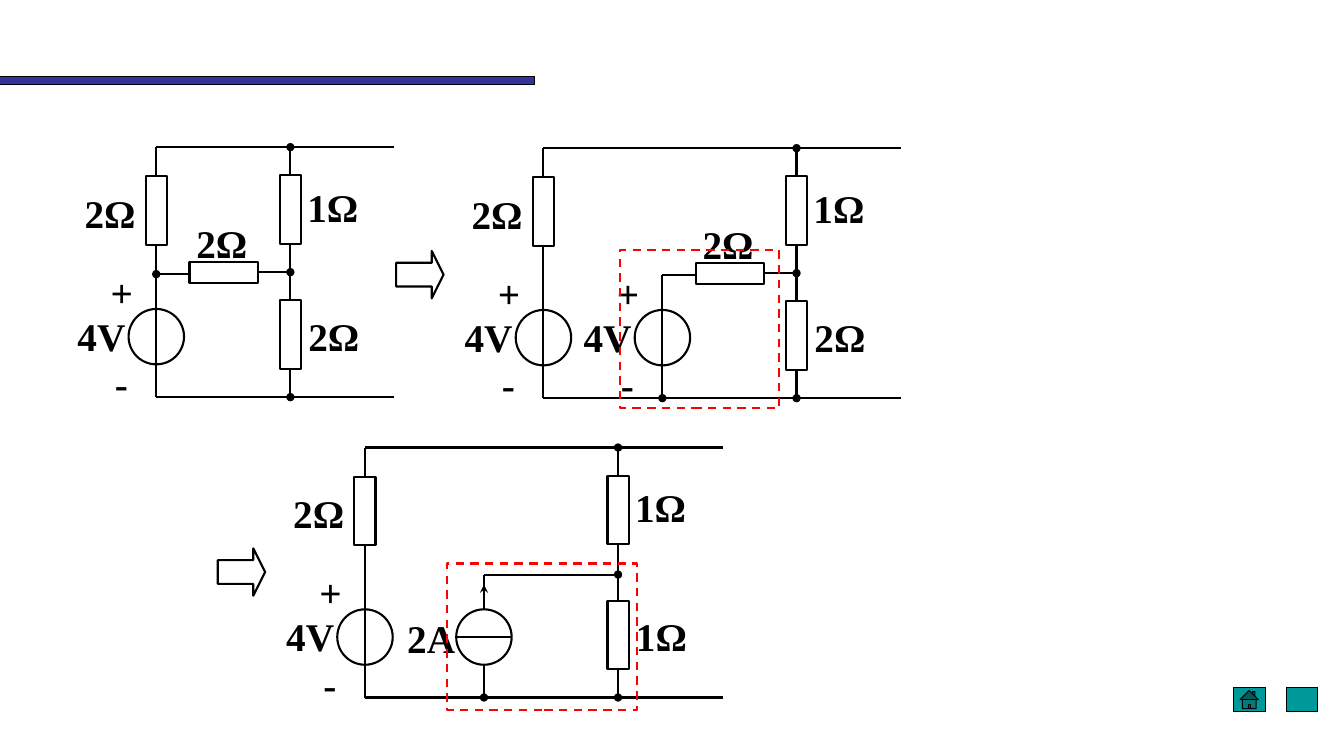
from lxml import etree
from pptx import Presentation
from pptx.dml.color import RGBColor
from pptx.enum.dml import MSO_LINE
from pptx.enum.shapes import MSO_CONNECTOR, MSO_SHAPE
from pptx.enum.text import MSO_AUTO_SIZE
from pptx.oxml.ns import qn
from pptx.util import Inches, Pt

RECT, OVAL = MSO_SHAPE.RECTANGLE, MSO_SHAPE.OVAL
ARROW = MSO_SHAPE.RIGHT_ARROW
HOME, BLANK = MSO_SHAPE.ACTION_BUTTON_HOME, MSO_SHAPE.ACTION_BUTTON_CUSTOM
STRAIGHT, DASH = MSO_CONNECTOR.STRAIGHT, MSO_LINE.DASH
GROW = MSO_AUTO_SIZE.SHAPE_TO_FIT_TEXT

COLORS = {"ink": "000000", "bar": "333399", "button": "009999", "focus": "FF0000"}
FONT = "Times New Roman"
TOP, BOTTOM = 0, 2  # connection sites of a rectangle

# Left, right and end columns, top rail, kind of middle branch, resistor names
CIRCUITS = [
    {"left": 1.55, "right": 2.88, "end": 3.91, "top": 1.46,
     "middle": "bridge", "upper": "1Ω", "lower": "2Ω"},
    {"left": 5.39, "right": 7.9, "end": 8.94, "top": 1.47,
     "middle": "voltage", "upper": "1Ω", "lower": "2Ω"},
    {"left": 3.62, "right": 6.13, "end": 7.17, "top": 4.44,
     "middle": "current", "upper": "1Ω", "lower": "1Ω"},
]
STEPS = [(3.93, 2.49), (2.16, 5.44)]
FRAMES = [(6.15, 2.48, 1.58, 1.57), (4.43, 5.59, 1.89, 1.45)]
DECOR = [
    (RECT, (0, 0.76, 5.3, 0.08), "bar"),
    (HOME, (12.23, 6.82, 0.32, 0.24), "button"),
    (BLANK, (12.76, 6.82, 0.31, 0.24), "button"),
]

HEIGHT = 2.48     # top rail to bottom rail
BRANCH = 1.33     # middle branch to right column
THIN, LONG = 0.21, 0.68
ROUND = 0.55
SOURCE = 1.88     # top rail to source centre

prs = Presentation()
prs.slide_width, prs.slide_height = Inches(13.33), Inches(7.5)
slide = prs.slides.add_slide(prs.slide_layouts[6])


def color(name):
    return RGBColor.from_string(COLORS[name])


def shape(kind, box, fill=None, line="ink", weight=1.5):
    item = slide.shapes.add_shape(kind, *map(Inches, box))
    item.shadow.inherit = False
    if fill:
        item.fill.solid()
        item.fill.fore_color.rgb = color(fill)
    else:
        item.fill.background()
    item.line.color.rgb = color(line)
    item.line.width = Pt(weight)
    return item


def center(kind, x, y, wide, high):
    """Draw a shape around its centre point."""
    return shape(kind, (x - wide / 2, y - high / 2, wide, high))


def wire(start, end, head=None, tail=None, begin=None, finish=None):
    """Draw a line; begin and finish are (shape, site) joins."""
    item = slide.shapes.add_connector(STRAIGHT, *map(Inches, (*start, *end)))
    if begin:
        item.begin_connect(*begin)
    if finish:
        item.end_connect(*finish)
    item.line.color.rgb = color("ink")
    item.line.width = Pt(1.5)
    props = item.line._get_or_add_ln()
    for tag, mark in (("a:headEnd", head), ("a:tailEnd", tail)):
        if mark:
            etree.SubElement(props, qn(tag), type=mark)
    etree.SubElement(item._element.spPr, qn("a:effectLst"))


def label(words, x, y, wide=0.87):
    box = slide.shapes.add_textbox(*map(Inches, (x, y, wide, 0.57)))
    frame = box.text_frame
    frame.word_wrap = True
    frame.auto_size = GROW
    run = frame.paragraphs[0].add_run()
    run.text = words
    run.font.name, run.font.size, run.font.bold = FONT, Pt(28), True
    run.font.color.rgb = color("ink")


def source(x, top):
    """Draw a 4V source with its signs."""
    center(OVAL, x, top + SOURCE, ROUND, ROUND)
    label("+", x - 0.55, top + 1.15, 0.47)
    label("-", x - 0.51, top + 2.06, 0.47)
    label("4V", x - 0.88, top + 1.59, 0.71)


def bridge(inner, right, top, mark):
    """Draw the level resistor between the middle and right columns."""
    body = center(RECT, right - 0.66, top + 1.24, LONG, THIN)
    wire((inner, top + 1.26), (right - 1, top + 1.26), head=mark)
    wire((right - 0.32, top + 1.24), (right, top + 1.24), tail="oval", begin=(body, 3))
    label("2Ω", right - 1.03, top + 0.67)


def current(inner, right, top, base):
    """Draw the 2A source and its wires."""
    mid, half = top + SOURCE, ROUND / 2
    center(OVAL, inner, mid, ROUND, ROUND)
    wire((inner - half, mid), (inner + half, mid))
    wire((inner, mid + half), (inner, base), tail="oval")
    wire((inner, mid - half), (inner, top + 1.26))
    wire((inner, mid - half), (inner, top + 1.36), tail="stealth")
    wire((inner, top + 1.26), (right, top + 1.26), tail="oval")
    label("2A", inner - 0.86, top + 1.61, 0.71)


def circuit(left, right, end, top, middle, upper, lower):
    base, inner = top + HEIGHT, right - BRANCH
    for y in (top, base):
        wire((left, y), (end, y))

    first = center(RECT, left, top + 0.63, THIN, LONG)
    wire((left, top), (left, top + 0.29), finish=(first, TOP))
    wire((left, top + 0.97), (left, base), begin=(first, BOTTOM))
    source(left, top)
    label("2Ω", left - 0.81, top + 0.37)

    high = center(RECT, right, top + 0.62, THIN, LONG)
    low = center(RECT, right, top + 1.86, THIN, LONG)
    wire((right, top), (right, top + 0.28), head="oval", finish=(high, TOP))
    wire((right, top + 0.96), (right, top + 1.52),
         begin=(high, BOTTOM), finish=(low, TOP))
    wire((right, top + 2.2), (right, base), tail="oval", begin=(low, BOTTOM))
    label(upper, right + 0.07, top + 0.31, 0.8)
    label(lower, right + 0.08, top + 1.59)

    if middle == "current":
        current(inner, right, top, base)
    else:
        bridge(inner, right, top, "oval" if middle == "bridge" else None)
    if middle == "voltage":
        wire((inner, top + 1.26), (inner, base), tail="oval")
        source(inner, top)


for kind, box, fill in DECOR:
    shape(kind, box, fill, weight=0.75)
for parts in CIRCUITS:
    circuit(**parts)
for x, y in STEPS:
    shape(ARROW, (x, y, 0.47, 0.47)).adjustments[1] = 0.25
for box in FRAMES:
    shape(RECT, box, line="focus").line.dash_style = DASH

prs.save("out.pptx")
